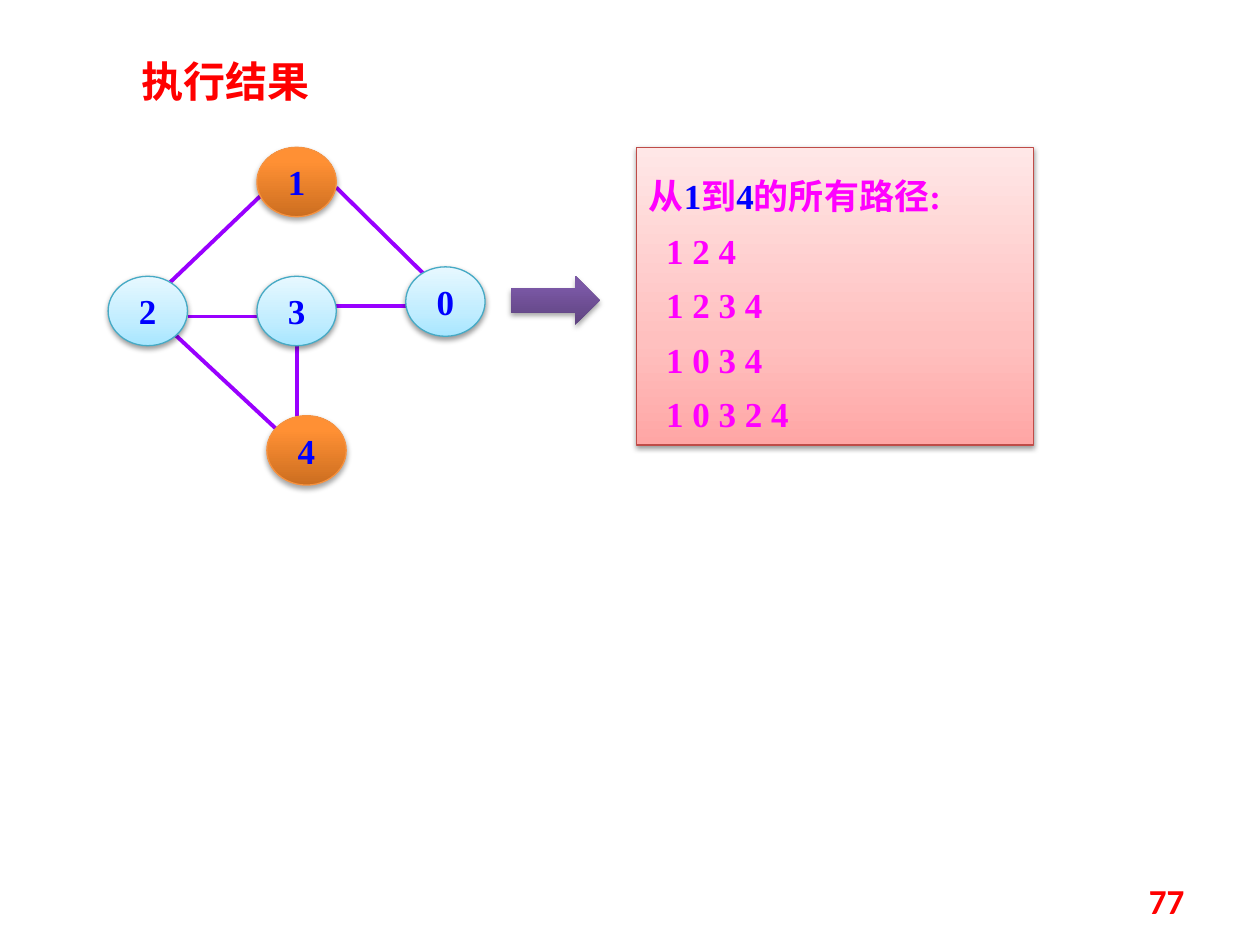
from copy import deepcopy

from lxml.etree import SubElement
from pptx import Presentation
from pptx.dml.color import RGBColor
from pptx.enum.shapes import MSO_CONNECTOR as Conn, MSO_SHAPE as Kind
from pptx.enum.text import MSO_ANCHOR as Anchor, MSO_AUTO_SIZE as Auto, PP_ALIGN as Align
from pptx.oxml.ns import qn
from pptx.util import Cm, Pt

RED = RGBColor(0xFF, 0x00, 0x00)
BLUE = RGBColor(0x00, 0x00, 0xFF)
PINK = RGBColor(0xFF, 0x00, 0xFF)
PURPLE = RGBColor(0x99, 0x00, 0xFF)
ORANGE = RGBColor(0xF6, 0x92, 0x40)
TEAL = RGBColor(0x46, 0xAA, 0xC5)
BRICK = RGBColor(0xBF, 0x4C, 0x48)

HAN, ROMAN, SANS = "Noto Sans CJK SC", "Times New Roman", "Calibri"

SOFT = {"alpha": 38, "dist": 1.6}
DEEP = {"alpha": 35, "dist": 1.8}
LOOKS = {
    "end": (((0, "CC6E20"), (0.8, "FF9034"), (1, "FF9136")), ORANGE, DEEP),
    "mid": (((0, "A7E6FF"), (0.35, "C1EDFF"), (1, "E7F8FF")), TEAL, SOFT),
    "paths": (((0, "FFA6A5"), (0.35, "FFC0BF"), (1, "FFE7E7")), BRICK, SOFT),
    "arrow": (((0, "5F4480"), (0.8, "7B58A6"), (1, "7C57A8")), None, DEEP),
}

NODE = (1.6, 1.4)
NODES = [
    ("1", 5.18, 2.97, "end"),
    ("3", 5.18, 5.57, "mid"),
    ("2", 2.18, 5.57, "mid"),
    ("4", 5.38, 8.38, "end"),
    ("0", 8.18, 5.38, "mid"),
]
EDGES = [
    (6.78, 3.78, 8.58, 5.56),
    (3.35, 6.58, 5.69, 8.76),
    (5.26, 3.94, 3.43, 5.69),
    (3.78, 6.38, 5.38, 6.38),
    (5.99, 6.98, 5.99, 8.38),
    (6.78, 6.17, 8.38, 6.17),
]
HEAD = [("从", PINK), ("1", BLUE), ("到", PINK), ("4", BLUE), ("的所有路径:", PINK)]
PATHS = ["1 2 4", "1 2 3 4", "1 0 3 4", "1 0 3 2 4"]


def write(para, text, color, name=ROMAN, size=20):
    run = para.add_run()
    run.text = text
    font = run.font
    looks = {"name": name, "size": Pt(size), "bold": True}
    for key, value in looks.items():
        setattr(font, key, value)
    font.color.rgb = color
    latin = run._r.rPr.find(qn("a:latin"))
    east = deepcopy(latin)
    east.tag = qn("a:ea")
    east.set("typeface", HAN)
    latin.addnext(east)


def shade(fill, stops):
    fill.gradient()
    fill.gradient_angle = 90
    first = fill.gradient_stops[0]._gs
    first.addnext(deepcopy(first))
    for stop, (pos, color) in zip(fill.gradient_stops, stops):
        stop.position = pos
        stop.color.rgb = RGBColor.from_string(color)


def draw(slide, kind, place, look):
    stops, edge, cast = LOOKS[look]
    shape = slide.shapes.add_shape(kind, *map(Cm, place))
    shade(shape.fill, stops)
    if edge is None:
        shape.line.fill.background()
    else:
        shape.line.color.rgb = edge
        shape.line.width = Pt(0.75)
    shape.shadow.inherit = False
    effects = shape._element.spPr.find(qn("a:effectLst"))
    attrs = {"blurRad": Pt(3.1), "dist": Pt(cast["dist"]), "dir": 5400000, "rotWithShape": 0}
    outer = SubElement(effects, qn("a:outerShdw"), {k: str(int(v)) for k, v in attrs.items()})
    tint = SubElement(outer, qn("a:srgbClr"), val="000000")
    SubElement(tint, qn("a:alpha"), val=str(cast["alpha"] * 1000))
    return shape


def link(slide, ends):
    line = slide.shapes.add_connector(Conn.STRAIGHT, *map(Cm, ends))
    line.line.color.rgb = PURPLE
    line.line.width = Pt(2.25)
    SubElement(line._element.spPr, qn("a:effectLst"))


def setup(frame, anchor, wrap=True):
    looks = {"auto_size": Auto.NONE, "vertical_anchor": anchor, "word_wrap": wrap}
    for key, value in looks.items():
        setattr(frame, key, value)


def main():
    deck = Presentation()
    deck.slide_width, deck.slide_height = Cm(25.4), Cm(19.05)
    slide = deck.slides.add_slide(deck.slide_layouts[5])

    title = slide.shapes.title
    place = {"left": 2.59, "top": 0.99, "width": 6.35, "height": 1.27}
    for key, value in place.items():
        setattr(title, key, Cm(value))
    setup(title.text_frame, Anchor.TOP)
    para = title.text_frame.paragraphs[0]
    para.alignment = Align.LEFT
    write(para, "执行结果", RED, HAN, 24)

    for ends in EDGES:
        link(slide, ends)
    for label, left, top, look in NODES:
        frame = draw(slide, Kind.OVAL, (left, top, *NODE), look).text_frame
        setup(frame, Anchor.MIDDLE, False)
        para = frame.paragraphs[0]
        para.alignment = Align.CENTER
        write(para, label, BLUE)

    frame = draw(slide, Kind.RECTANGLE, (12.83, 2.97, 8, 6), "paths").text_frame
    setup(frame, Anchor.TOP)
    para = frame.paragraphs[0]
    para.alignment, para.line_spacing = Align.LEFT, 1.5
    for text, color in HEAD:
        write(para, text, color)
    for text in PATHS:
        para = frame.add_paragraph()
        para.alignment, para.line_spacing = Align.LEFT, 1.3
        para._p.get_or_add_pPr().set("marL", str(Cm(0.35)))
        write(para, text, PINK)

    draw(slide, Kind.RIGHT_ARROW, (10.31, 5.56, 1.78, 0.99), "arrow")

    frame = slide.shapes.add_textbox(*map(Cm, (18.21, 17.65, 5.92, 1.02))).text_frame
    setup(frame, Anchor.MIDDLE)
    para = frame.paragraphs[0]
    para.alignment = Align.RIGHT
    write(para, "77", RED, SANS)

    deck.save("out.pptx")


if __name__ == "__main__":
    main()
